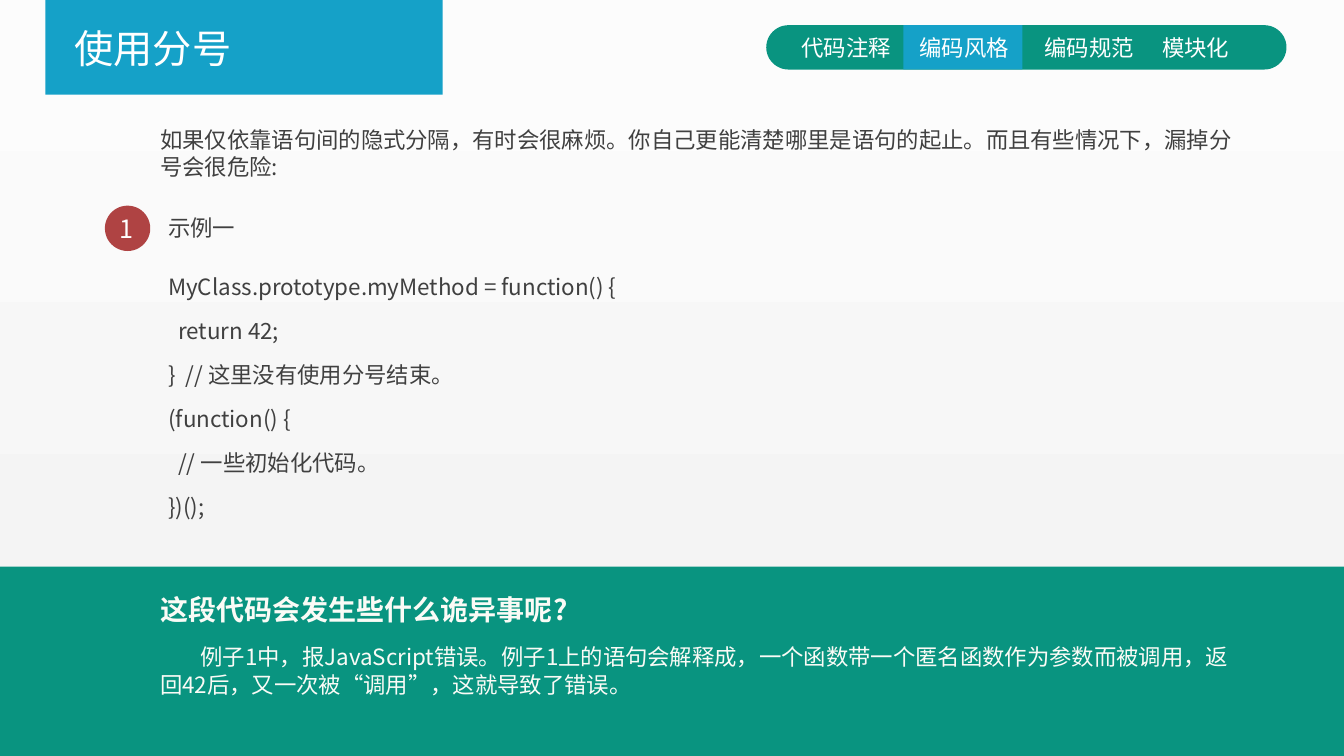
from lxml import etree
from pptx import Presentation
from pptx.dml.color import RGBColor
from pptx.enum.shapes import MSO_SHAPE
from pptx.enum.text import MSO_ANCHOR, PP_ALIGN
from pptx.oxml.ns import qn
from pptx.util import Inches, Pt

RECT, OVAL, ROUND = MSO_SHAPE.RECTANGLE, MSO_SHAPE.OVAL, MSO_SHAPE.ROUNDED_RECTANGLE
LEFT, CENTER, TOP = PP_ALIGN.LEFT, PP_ALIGN.CENTER, MSO_ANCHOR.TOP
COLORS = {
    "green": "099480", "blue": "15A1C8", "red": "AF4343", "text": "404040",
    "white": "FFFFFF", "cream": "FAFBF6", "base": "F2F2F2", "light": "FCFCFC",
}
SANS = "Noto Sans CJK SC"
LEAD = 1.21  # line height as a share of the font size

INTRO = "如果仅依靠语句间的隐式分隔，有时会很麻烦。你自己更能清楚哪里是语句的起止。而且有些情况下，漏掉分号会很危险:"
CODE = [
    "MyClass.prototype.myMethod = function() {",
    "  return 42;",
    "}  // 这里没有使用分号结束。",
    "(function() {",
    "  // 一些初始化代码。",
    "})();",
]
ASK = "这段代码会发生些什么诡异事呢?"
REPLY = ("例子1中，报JavaScript错误。例子1上的语句会解释成，一个函数带一个匿名函数作为参数而被调用，"
         "返回42后，又一次被“调用”，这就导致了错误。")
TABS = [("代码注释", 7.85), ("编码风格", 9.02), ("编码规范", 10.26), ("模块化", 11.43)]


def color(name):
    return RGBColor.from_string(COLORS[name])


class Page:
    def __init__(self, deck):
        self.slide = deck.slides.add_slide(deck.slide_layouts[5])
        self.shapes = self.slide.shapes

    def paint(self, low, high):
        """Fill the background with a gradient that rises from low to high."""
        fill = self.slide.background.fill
        fill.gradient()
        fill.gradient_angle = 90
        for stop, name in zip(fill.gradient_stops, (low, high)):
            stop.color.rgb = color(name)

    def block(self, kind, box, tint):
        shape = self.shapes.add_shape(kind, *map(Inches, box))
        shape.shadow.inherit = False
        shape.fill.solid()
        shape.fill.fore_color.rgb = color(tint)
        shape.line.fill.background()
        return shape

    def style(self, para, size=16, tint="text", face=SANS, bold=False,
              align=LEFT, before=0, after=0):
        look = {"alignment": align, "line_spacing": Pt(round(size * LEAD, 1)),
                "space_before": Pt(before), "space_after": Pt(after)}
        for key, value in look.items():
            setattr(para, key, value)
        for run in para.runs:
            for key, value in {"size": Pt(size), "name": face, "bold": bold}.items():
                setattr(run.font, key, value)
            run.font.color.rgb = color(tint)
            east = etree.SubElement(run.font._element, qn("a:ea"))
            east.set("typeface", SANS)

    def text(self, box, lines, **look):
        """Add a text box; each line is a string or a (string, format) pair."""
        frame = self.shapes.add_textbox(*map(Inches, box)).text_frame
        frame.word_wrap = True
        for i, line in enumerate(lines):
            words, own = line if isinstance(line, tuple) else (line, {})
            para = frame.add_paragraph() if i else frame.paragraphs[0]
            para.add_run().text = words
            first = {} if i else {"before": 0}
            self.style(para, **{**look, **own, **first})
        return frame

    def title(self, box, words, **look):
        """Move the title placeholder to the front and format it."""
        shape = self.shapes.title
        self.shapes._spTree.append(shape._element)
        for key, value in zip(("left", "top", "width", "height"), box):
            setattr(shape, key, Inches(value))
        frame = shape.text_frame
        frame.text = words
        frame.word_wrap = False
        frame.vertical_anchor = TOP
        self.style(frame.paragraphs[0], **look)


def main():
    deck = Presentation()
    deck.slide_width, deck.slide_height = Inches(13.33), Inches(7.5)
    page = Page(deck)
    page.paint("base", "light")

    page.block(OVAL, (1.04, 2.04, 0.45, 0.45), "red")
    page.text((0.96, 2.06, 0.6, 0.4), ["1"], size=18, tint="white", align=CENTER)
    page.text((1.57, 2.07, 2.95, 0.4), ["示例一"])
    page.text((1.49, 1.2, 11, 0.82), [INTRO])
    page.text((1.57, 2.66, 8.35, 2.59), CODE, before=6, after=6)

    page.block(RECT, (0, 5.62, 13.33, 1.88), "green")
    reply = page.text((1.49, 5.83, 11, 1.43),
                      [(ASK, {"size": 20, "bold": True}), REPLY],
                      tint="cream", before=6, after=6)
    reply.paragraphs[1]._p.get_or_add_pPr().set("indent", str(Inches(0.4)))

    bar = page.block(ROUND, (7.6, 0.25, 5.16, 0.44), "green")
    bar.adjustments[0] = 0.5
    page.block(RECT, (8.96, 0.25, 1.18, 0.44), "blue")
    for label, left in TABS:
        page.text((left, 0.29, 1.31, 0.37), [label], tint="white")

    page.block(RECT, (0.45, 0, 3.94, 0.94), "blue")
    page.title((0.64, 0.19, 1.77, 0.57), "使用分号", size=28, tint="white", face="Calibri")
    deck.save("out.pptx")


if __name__ == "__main__":
    main()
